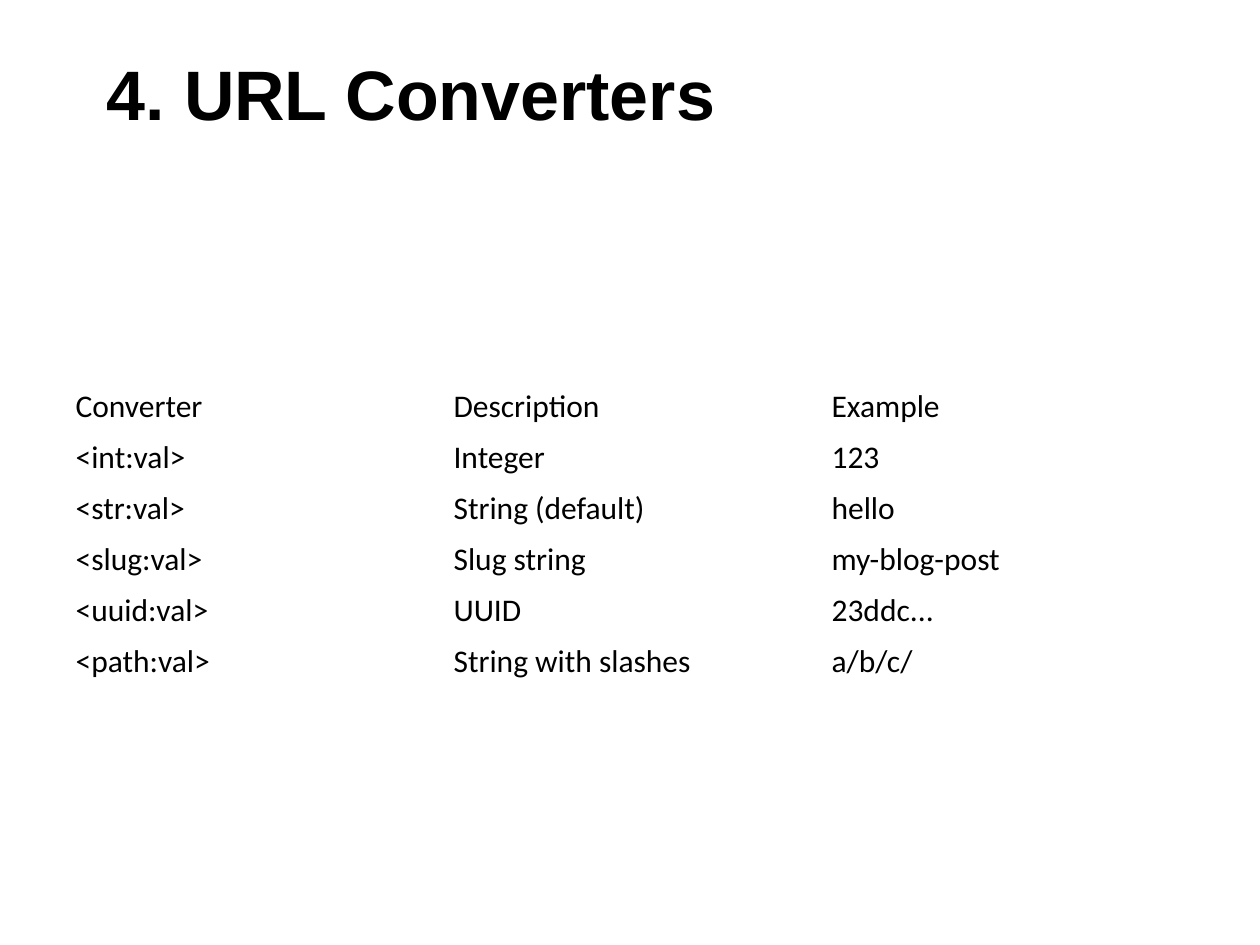
import dataclasses

import pptx
import pptx.dml.color
import pptx.enum.text
import pptx.util

SCALE = 914400 / 126


@dataclasses.dataclass(frozen=True)
class Box:
    left: int
    top: int
    width: int
    height: int


@dataclasses.dataclass(frozen=True)
class Font:
    name: str
    size: int
    bold: bool = False
    color: str = "000000"


@dataclasses.dataclass(frozen=True)
class Row:
    name: str
    about: str
    sample: str


TITLE = Font("Arial", 40, True)
BODY = Font("Calibri", 18)
ROWS = [
    Row("Converter", "Description", "Example"),
    Row("<int:val>", "Integer", "123"),
    Row("<str:val>", "String (default)", "hello"),
    Row("<slug:val>", "Slug string", "my-blog-post"),
    Row("<uuid:val>", "UUID", "23ddc..."),
    Row("<path:val>", "String with slashes", "a/b/c/"),
]


def px(count: int) -> int:
    return pptx.util.Emu(round(count * SCALE))


def paint(code: str) -> pptx.dml.color.RGBColor:
    return pptx.dml.color.RGBColor.from_string(code)


def place(box: Box) -> list[int]:
    return [px(side) for side in dataclasses.astuple(box)]


def write(frame, text: str, font: Font) -> None:
    frame.text = text
    for run in frame.paragraphs[0].runs:
        run.font.name = font.name
        run.font.size = pptx.util.Pt(font.size)
        run.font.bold = font.bold
        run.font.color.rgb = paint(font.color)


def add_title(slide, box: Box, text: str) -> None:
    frame = slide.shapes.add_textbox(*place(box)).text_frame
    frame.word_wrap = True
    frame.vertical_anchor = pptx.enum.text.MSO_ANCHOR.TOP
    frame.margin_top = px(11)
    write(frame, text, TITLE)


def add_grid(slide, box: Box, rows: list[Row]) -> None:
    cols = len(dataclasses.fields(Row))
    table = slide.shapes.add_table(len(rows), cols, *place(box)).table
    table.first_row = False
    table.horz_banding = False
    for y, row in enumerate(rows):
        for x, text in enumerate(dataclasses.astuple(row)):
            cell = table.cell(y, x)
            cell.fill.background()
            cell.vertical_anchor = pptx.enum.text.MSO_ANCHOR.MIDDLE
            write(cell.text_frame, text, BODY)


def main() -> None:
    deck = pptx.Presentation()
    deck.slide_width = px(1260)
    deck.slide_height = px(945)
    slide = deck.slides.add_slide(deck.slide_layouts[6])
    add_grid(slide, Box(63, 381, 1134, 51 * len(ROWS)), ROWS)
    add_title(slide, Box(94, 40, 1008, 183), "4. URL Converters")
    deck.save("out.pptx")


if __name__ == "__main__":
    main()
